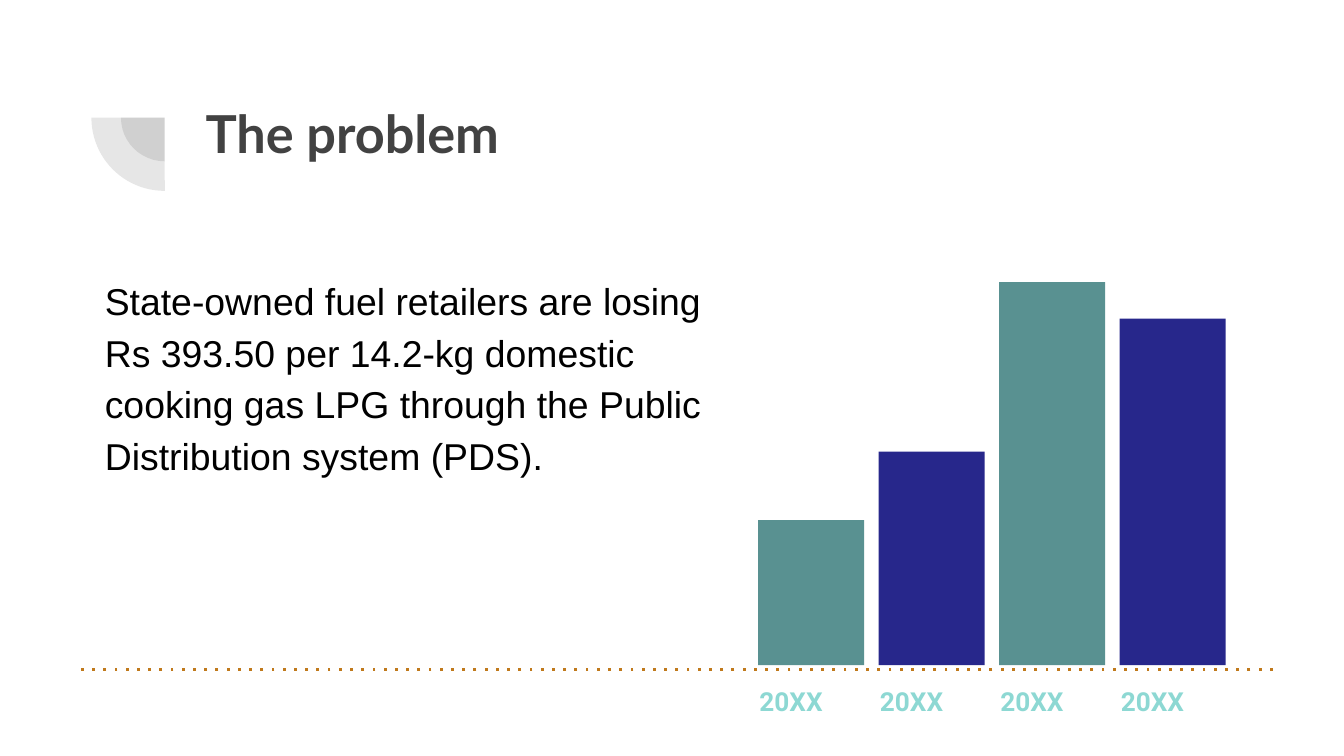
from typing import NamedTuple

from lxml import etree
from pptx import Presentation
from pptx.dml.color import RGBColor
from pptx.enum.shapes import MSO_CONNECTOR, MSO_SHAPE
from pptx.enum.text import MSO_ANCHOR, MSO_AUTO_SIZE, PP_ALIGN
from pptx.oxml.ns import qn
from pptx.util import Inches, Pt

RECTANGLE, PIE = MSO_SHAPE.RECTANGLE, MSO_SHAPE.PIE
STRAIGHT = MSO_CONNECTOR.STRAIGHT
TOP, LEFT = MSO_ANCHOR.TOP, PP_ALIGN.LEFT
NO_AUTOFIT = MSO_AUTO_SIZE.NONE

GREY, TEAL, NAVY = "424242", "599191", "27278B"
BLACK, AQUA, OCHRE = "000000", "8DD8D3", "C0791B"
BAR_LEFT, LAST_BAR_LEFT = 5.64, 8.33
BAR_BASE, BAR_WIDTH = 4.95, 0.79
AXIS_Y = 4.98
ARC_LEFT, ARC_TOP, ARC_SIZE = 0.68, 0.33, 1.09


class Bar(NamedTuple):
    label: str
    height: float
    color: str


BARS = [
    Bar("20XX", 1.08, TEAL),
    Bar("20XX", 1.59, NAVY),
    Bar("20XX", 2.85, TEAL),
    Bar("20XX", 2.58, NAVY),
]
BAR_PITCH = (LAST_BAR_LEFT - BAR_LEFT) / (len(BARS) - 1)


def rgb(color: str) -> RGBColor:
    return RGBColor.from_string(color)


def format_paragraph(para, font: str, size: float, color: str,
                     bold: bool = False, spacing: float = 1) -> None:
    para.alignment = LEFT
    para.line_spacing = spacing
    para.space_before = Pt(0)
    for span in para.runs:
        span.font.name = font
        span.font.size = Pt(size)
        span.font.bold = bold
        span.font.color.rgb = rgb(color)


def fill_placeholder(box, text: str, left: float, top: float,
                     width: float, height: float):
    """Place the box, set its text and return its paragraph."""
    box.left, box.top = Inches(left), Inches(top)
    box.width, box.height = Inches(width), Inches(height)
    frame = box.text_frame
    frame.text = text
    frame.word_wrap = True
    frame.auto_size = NO_AUTOFIT
    frame.vertical_anchor = TOP
    frame.margin_left = frame.margin_right = Inches(0.1)
    frame.margin_top = frame.margin_bottom = Inches(0.1)
    return frame.paragraphs[0]


def add_filled_shape(page, kind, left: float, top: float,
                     width: float, height: float, color: str):
    shape = page.shapes.add_shape(kind, Inches(left), Inches(top),
                                  Inches(width), Inches(height))
    shape.shadow.inherit = False
    shape.fill.solid()
    shape.fill.fore_color.rgb = rgb(color)
    shape.line.fill.background()
    return shape


def add_quarter_disc(page, diameter: float) -> None:
    inset = (ARC_SIZE - diameter) / 2
    disc = add_filled_shape(page, PIE, ARC_LEFT + inset, ARC_TOP + inset,
                            diameter, diameter, GREY)
    disc.adjustments[0] = 107.93
    disc.adjustments[1] = 162
    disc.rotation = 270
    tint = disc.fill._xPr.find(qn("a:solidFill"))[0]
    etree.SubElement(tint, qn("a:alpha"), val="13000")


def add_labels(page) -> None:
    table = page.shapes.add_table(
        1, len(BARS), Inches(BAR_LEFT - 0.09), Inches(AXIS_Y),
        Inches(BAR_PITCH * len(BARS)), Inches(0.26)).table
    table.first_row = False
    table.horz_banding = False
    for cell, bar in zip(table.rows[0].cells, BARS):
        cell.fill.background()
        cell.margin_left = cell.margin_right = Inches(0.1)
        cell.margin_top = cell.margin_bottom = Inches(0.1)
        cell.vertical_anchor = TOP
        cell.text_frame.text = bar.label
        format_paragraph(cell.text_frame.paragraphs[0], "Roboto", 14, AQUA,
                         bold=True, spacing=1.15)


def add_axis(page) -> None:
    axis = page.shapes.add_connector(STRAIGHT, Inches(9.47), Inches(AXIS_Y),
                                     Inches(0.56), Inches(AXIS_Y))
    axis.line.color.rgb = rgb(OCHRE)
    axis.line.width = Pt(1.5)
    properties = axis.line._get_or_add_ln().getparent()
    etree.SubElement(properties.find(qn("a:ln")), qn("a:prstDash"), val="dot")
    etree.SubElement(properties, qn("a:effectLst"))


def main() -> None:
    deck = Presentation()
    deck.slide_width = Inches(10)
    deck.slide_height = deck.slide_width * 9 // 16
    page = deck.slides.add_slide(deck.slide_layouts[1])

    for diameter in (0.65, ARC_SIZE):
        add_quarter_disc(page, diameter)

    title = fill_placeholder(page.shapes.title, "The problem",
                             1.43, 0.65, 7.69, 1.09)
    format_paragraph(title, "Lato", 28, GREY, bold=True)

    body = fill_placeholder(
        page.placeholders[1],
        "State-owned fuel retailers are losing Rs 393.50 per 14.2-kg domestic "
        "cooking gas LPG through the Public Distribution system (PDS).",
        0.68, 1.92, 4.71, 3.04)
    properties = body._p.get_or_add_pPr()
    properties.set("marL", "0")
    properties.set("indent", "0")
    etree.SubElement(properties, qn("a:buNone"))
    format_paragraph(body, "Arial", 20, BLACK, spacing=1.15)
    body.space_after = Pt(16)

    add_labels(page)
    for index, bar in enumerate(BARS):
        add_filled_shape(page, RECTANGLE, BAR_LEFT + index * BAR_PITCH,
                         BAR_BASE - bar.height, BAR_WIDTH, bar.height,
                         bar.color)
    add_axis(page)
    deck.save("out.pptx")


if __name__ == "__main__":
    main()
